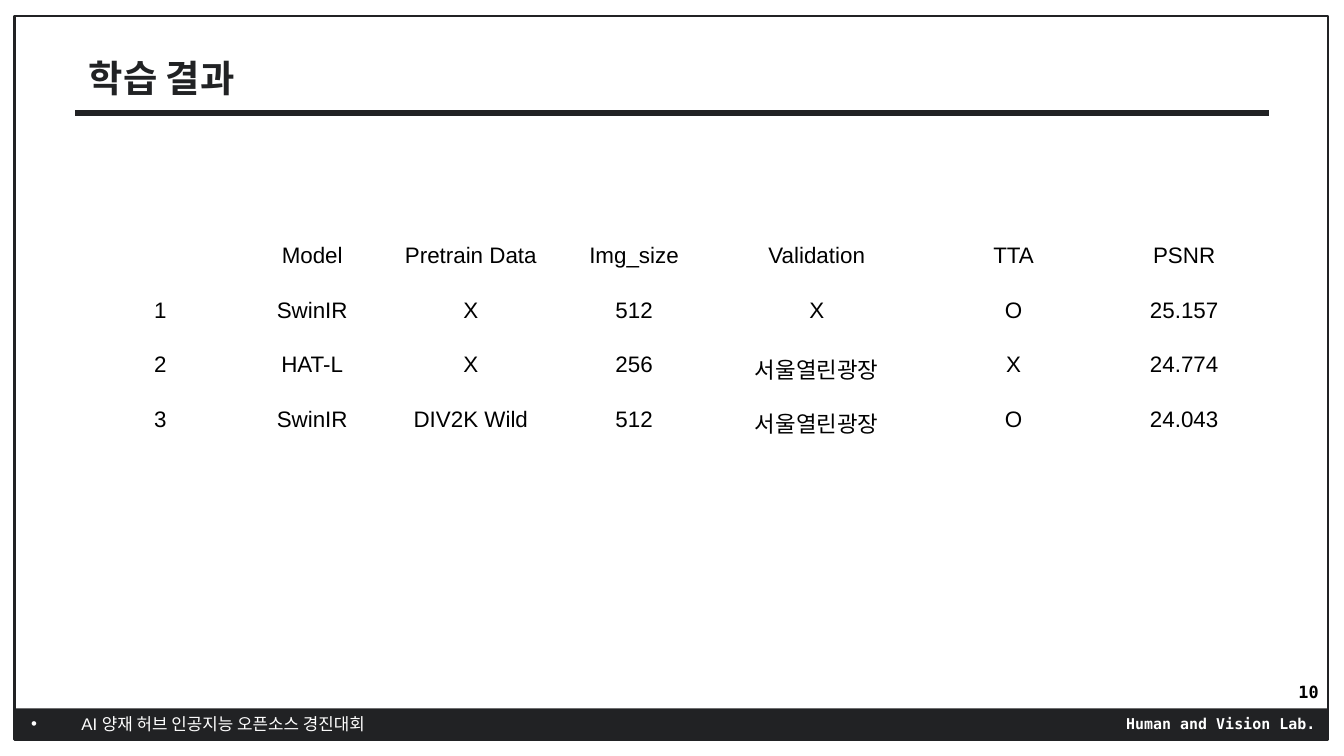
from dataclasses import dataclass

from lxml.etree import SubElement
from pptx import Presentation
from pptx.dml.color import RGBColor
from pptx.enum.shapes import MSO_CONNECTOR, MSO_SHAPE
from pptx.enum.text import MSO_ANCHOR, MSO_AUTO_SIZE, PP_ALIGN
from pptx.oxml.ns import qn
from pptx.util import Pt


@dataclass(frozen=True)
class Theme:
    """Colours, fonts and type sizes of the slide."""
    ink: RGBColor = RGBColor(0x21, 0x22, 0x24)
    black: RGBColor = RGBColor(0, 0, 0)
    white: RGBColor = RGBColor(255, 255, 255)
    sans: str = "Arial"
    mono: str = "DejaVu Sans Mono"
    korean: str = "Noto Sans CJK KR"
    title_size: int = 20
    table_size: int = 12
    small_size: int = 9
    lab_size: int = 8


THEME = Theme()
COLUMN_WIDTHS = [91.3, 71.4, 98.6, 76.3, 119.5, 91.4, 91.4]
ROW_HEIGHT = 29.2
RESULTS = [
    ["", "Model", "Pretrain Data", "Img_size", "Validation", "TTA", "PSNR"],
    ["1", "SwinIR", "X", "512", "X", "O", "25.157"],
    ["2", "HAT-L", "X", "256", "서울열린광장", "X", "24.774"],
    ["3", "SwinIR", "DIV2K Wild", "512", "서울열린광장", "O", "24.043"],
]


def write(frame, text, size, name, color, bold=False, align=PP_ALIGN.LEFT):
    """Put one formatted paragraph into a text frame."""
    frame.text = text
    paragraph = frame.paragraphs[0]
    paragraph.alignment = align
    font = paragraph.font
    font.size, font.name, font.bold = Pt(size), name, bold
    font.color.rgb = color
    east_asian = SubElement(paragraph.font._element, qn("a:ea"))
    east_asian.set("typeface", THEME.korean)
    return paragraph


def place(shape, left, top, width, height):
    """Move and size a shape in points."""
    shape.left, shape.top = Pt(left), Pt(top)
    shape.width, shape.height = Pt(width), Pt(height)


def add_rectangle(slide, left, top, width, height):
    """Add a plain rectangle without a shadow."""
    rectangle = slide.shapes.add_shape(
        MSO_SHAPE.RECTANGLE, Pt(left), Pt(top), Pt(width), Pt(height))
    rectangle.shadow.inherit = False
    return rectangle


def add_frame(slide, left, top, width, height):
    """Outline the page."""
    border = add_rectangle(slide, left, top, width, height)
    border.fill.background()
    border.line.color.rgb = THEME.ink
    border.line.width = Pt(1.5)


def add_heading(slide, left, top, width, height):
    """Fill the title placeholder and underline it."""
    title = slide.shapes.title
    place(title, left, top, width, height)
    frame = title.text_frame
    frame.auto_size = MSO_AUTO_SIZE.NONE
    frame.vertical_anchor = MSO_ANCHOR.MIDDLE
    write(frame, "학습 결과", THEME.title_size, THEME.korean, THEME.ink, True)
    base = Pt(top + height)
    rule = slide.shapes.add_connector(
        MSO_CONNECTOR.STRAIGHT, Pt(left), base, Pt(left + width), base)
    rule.line.color.rgb = THEME.ink
    rule.line.width = Pt(3)
    SubElement(rule.element.spPr, qn("a:effectLst"))


def add_results(slide, left, top, width, height):
    """Add the table of training results."""
    table = slide.shapes.add_table(
        len(RESULTS), len(COLUMN_WIDTHS),
        Pt(left), Pt(top), Pt(width), Pt(height)).table
    table.first_row = table.horz_banding = False
    for column, column_width in zip(table.columns, COLUMN_WIDTHS):
        column.width = Pt(column_width)
    for row, values in zip(table.rows, RESULTS):
        row.height = Pt(height / len(RESULTS))
        for cell, value in zip(row.cells, values):
            cell.fill.background()
            write(cell.text_frame, value, THEME.table_size, THEME.sans,
                  THEME.black, align=PP_ALIGN.CENTER)


def add_footer(slide, left, top, width, height):
    """Add the footer bar with event, lab and page number."""
    bar = add_rectangle(slide, left, top, width, height)
    bar.fill.solid()
    bar.fill.fore_color.rgb = THEME.ink
    bar.line.fill.background()
    bar.text_frame.vertical_anchor = MSO_ANCHOR.MIDDLE
    write(bar.text_frame, "Human and Vision Lab.", THEME.lab_size,
          THEME.mono, THEME.white, True, PP_ALIGN.RIGHT)

    event = slide.placeholders[1]
    place(event, left + 1.4, top, 324, height)
    event.element.getparent().append(event.element)
    frame = event.text_frame
    frame.auto_size = MSO_AUTO_SIZE.NONE
    frame.vertical_anchor = MSO_ANCHOR.MIDDLE
    frame.text = ""
    properties = frame.paragraphs[0]._p.get_or_add_pPr()
    properties.set("marL", "0")
    properties.set("indent", "0")
    SubElement(properties, qn("a:buNone"))
    paragraph = write(frame, "AI 양재 허브 인공지능 오픈소스 경진대회",
                      THEME.small_size, THEME.sans, THEME.white)
    paragraph.space_before = Pt(0)

    page = slide.shapes.add_textbox(
        Pt(left + width - 46), Pt(top - 18), Pt(47.5), Pt(height))
    page.text_frame.word_wrap = True
    write(page.text_frame, "10", THEME.small_size, THEME.mono,
          THEME.black, True, PP_ALIGN.RIGHT)


def main():
    """Build and save the slide."""
    presentation = Presentation()
    presentation.slide_width, presentation.slide_height = Pt(720), Pt(405)
    slide = presentation.slides.add_slide(presentation.slide_layouts[1])
    add_footer(slide, 8, 379.5, 704, 16.5)
    add_frame(slide, 8, 8.6, 703.5, 387.4)
    add_heading(slide, 40.3, 22.5, 639.5, 38)
    add_results(slide, 40.3, 126.7, sum(COLUMN_WIDTHS),
                ROW_HEIGHT * len(RESULTS))
    presentation.save("out.pptx")


if __name__ == "__main__":
    main()
